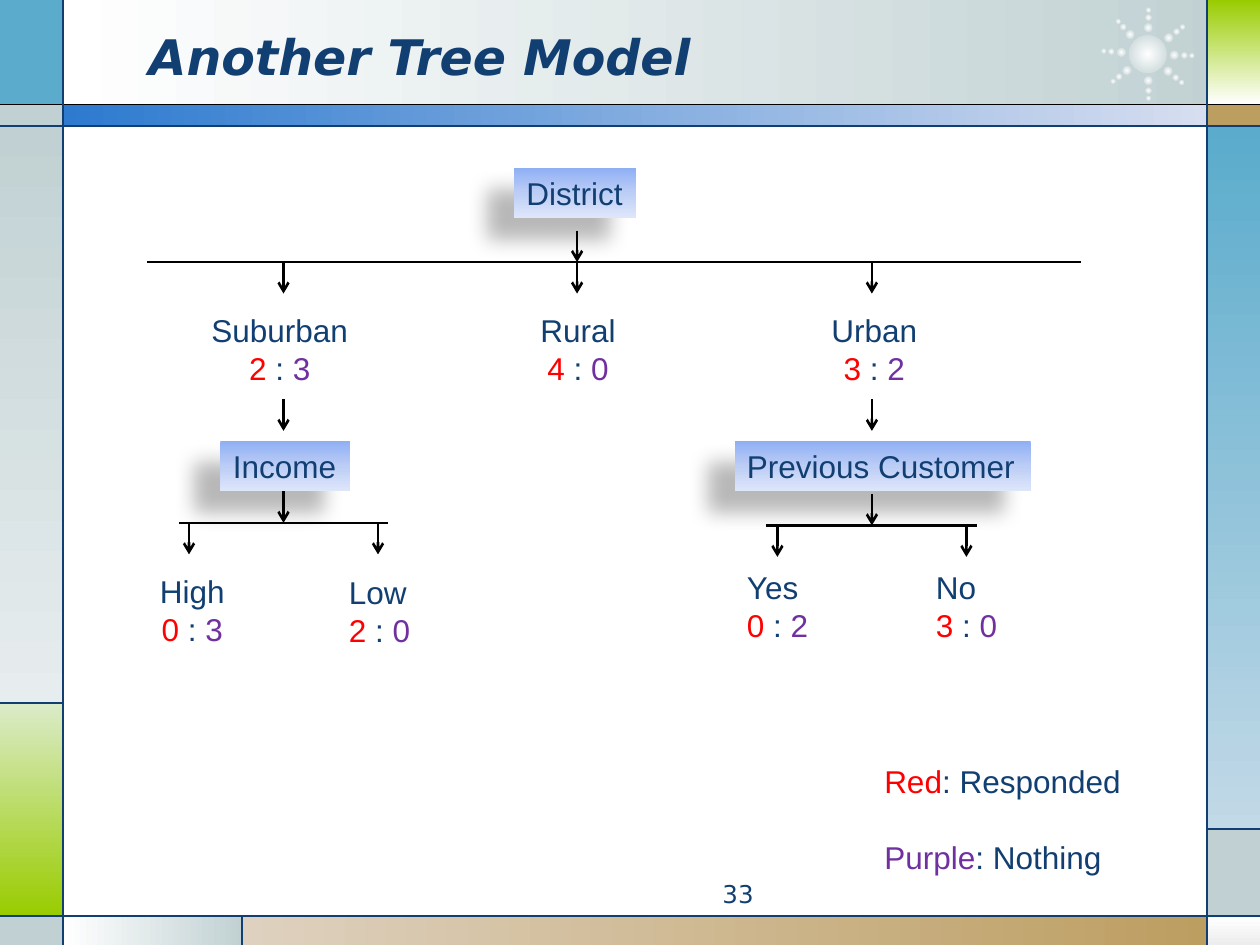
from dataclasses import dataclass
from math import cos, radians, sin
from typing import Any, NamedTuple

from lxml import etree
from pptx import Presentation
from pptx.dml import color as dml
from pptx.enum import shapes, text
from pptx.oxml import ns
from pptx.util import Inches, Pt


@dataclass(frozen=True)
class Theme:
    navy: str = "113F71"
    black: str = "000000"
    white: str = "FFFFFF"
    mist: str = "C1D1D3"
    sky: str = "5AABCC"
    lime: str = "99CC00"
    tan: str = "BD9E61"
    red: str = "FF0000"
    purple: str = "7030A0"
    node: tuple = ("8FAFF4", "BCCDF6", "DEE6FA")
    body_font: str = "Arial"
    title_font: str = "DejaVu Sans"
    title_size: float = 28
    body_size: float = 18
    number_size: float = 14
    rule: float = 0.75
    branch: float = 1.5


THEME = Theme()
RIGHT, DOWN, RADIAL = 0, 90, None


class Panel(NamedTuple):
    left: float
    top: float
    width: float
    height: float
    colors: tuple
    angle: int | None = RIGHT


class Node(NamedTuple):
    left: float
    top: float
    width: float
    name: str


class Leaf(NamedTuple):
    left: float
    top: float
    width: float
    name: str
    responded: int
    nothing: int


class Split(NamedTuple):
    trunk: float
    bar: float
    start: float
    end: float
    branches: tuple


PANELS = [
    Panel(0.5, 0, 9.27, 0.84, (THEME.white, THEME.mist)),
    Panel(0, 0, 0.5, 0.84, (THEME.sky,)),
    Panel(0, 0.83, 0.5, 0.17, (THEME.mist,)),
    Panel(0, 1, 0.5, 4.58, (THEME.mist, "E7EDEE"), DOWN),
    Panel(0, 5.58, 0.5, 1.69, ("DBEBC9", THEME.lime), DOWN),
    Panel(0, 7.27, 0.5, 0.23, (THEME.mist,)),
    Panel(0.5, 7.27, 1.43, 0.23, (THEME.white, THEME.mist)),
    Panel(1.92, 7.27, 7.67, 0.23, ("DED1BF", THEME.tan)),
    Panel(9.59, 7.27, 0.41, 0.23, (THEME.white, "EDEDED"), DOWN),
    Panel(9.58, 6.58, 0.42, 0.7, (THEME.mist,)),
    Panel(9.58, 1, 0.42, 5.58, (THEME.sky, "C2D9E7"), DOWN),
    Panel(9.58, 0.83, 0.42, 0.17, (THEME.tan,)),
    Panel(9.58, 0, 0.42, 0.83, (THEME.lime, THEME.white), DOWN),
    Panel(0.5, 0.83, 9.09, 0.17, ("2D7ACF", "D7DEF0")),
]
RULES = [
    (0, 0.83, 10, 0.83, THEME.black), (0, 1, 10, 1, THEME.navy),
    (0, 7.27, 10, 7.27, THEME.navy), (0.5, 0, 0.5, 7.5, THEME.navy),
    (9.58, 0, 9.58, 7.5, THEME.navy), (0, 5.58, 0.5, 5.58, THEME.navy),
    (1.92, 7.27, 1.92, 7.5, THEME.navy), (9.58, 6.58, 10, 6.58, THEME.navy),
]
RAY_ANGLES = (40, 2, -38, 89, -89, -132, 184, 142)
RAY_DOTS = ((0.21, 0.07), (0.29, 0.05), (0.35, 0.04))  # distance, size
NODES = [
    Node(4.08, 1.33, 0.97, "District"),
    Node(1.75, 3.5, 1.03, "Income"),
    Node(5.83, 3.5, 2.35, "Previous Customer"),
]
LEAVES = [
    Leaf(1.58, 2.42, 1.3, "Suburban", 2, 3),
    Leaf(4.19, 2.42, 0.81, "Rural", 4, 0),
    Leaf(6.5, 2.42, 0.89, "Urban", 3, 2),
    Leaf(1.17, 4.49, 0.72, "High", 0, 3),
    Leaf(2.67, 4.5, 0.69, "Low", 2, 0),
    Leaf(5.83, 4.46, 0.69, "Yes", 0, 2),
    Leaf(7.33, 4.46, 0.69, "No", 3, 0),
]
SPLITS = [
    Split(4.58, 2.08, 1.17, 8.58, (2.25, 4.58, 6.92)),
    Split(2.25, 4.15, 1.42, 3.08, (1.5, 3)),
    Split(6.92, 4.17, 6.08, 7.75, (6.17, 7.67)),
]
ARROW = 0.25


def apply(target: Any, values: dict) -> None:
    for name, value in values.items():
        setattr(target, name, value)


def rgb(value: str) -> dml.RGBColor:
    return dml.RGBColor.from_string(value)


def add_xml(parent: Any, tag: str, **attributes: Any) -> Any:
    values = {name: str(value) for name, value in attributes.items()}
    return etree.SubElement(parent, ns.qn(tag), values)


def paint(shape: Any, colors: tuple, angle: int | None) -> None:
    """Fill with one colour, or with evenly spaced gradient stops."""
    shape.shadow.inherit = False
    shape.line.fill.background()
    if len(colors) == 1:
        shape.fill.solid()
        shape.fill.fore_color.rgb = rgb(colors[0])
        return
    shape.fill.gradient()
    gradient = shape.element.spPr.find(ns.qn("a:gradFill"))
    for child in list(gradient):
        gradient.remove(child)
    stops = add_xml(gradient, "a:gsLst")
    for index, value in enumerate(colors):
        stop = add_xml(stops, "a:gs", pos=100000 * index // (len(colors) - 1))
        add_xml(stop, "a:srgbClr", val=value)
    if angle is RADIAL:
        center = add_xml(gradient, "a:path", path="circle")
        add_xml(center, "a:fillToRect", l=50000, t=50000, r=50000, b=50000)
    else:
        add_xml(gradient, "a:lin", ang=angle * 60000, scaled=0)


def add_panel(slide: Any, panel: Panel, kind: Any = shapes.MSO_SHAPE.RECTANGLE) -> Any:
    shape = slide.shapes.add_shape(kind, *map(Inches, panel[:4]))
    paint(shape, panel.colors, panel.angle)
    return shape


def add_line(slide: Any, x1: float, y1: float, x2: float, y2: float,
             color: str = THEME.black, width: float = THEME.branch, arrow: bool = False) -> None:
    line = slide.shapes.add_connector(shapes.MSO_CONNECTOR.STRAIGHT, *map(Inches, (x1, y1, x2, y2)))
    line.line.color.rgb = rgb(color)
    line.line.width = Pt(width)
    if arrow:
        add_xml(line.line._get_or_add_ln(), "a:tailEnd", type="arrow")
    add_xml(line.element.spPr, "a:effectLst")


def add_arrow(slide: Any, x: float, top: float) -> None:
    add_line(slide, x, top, x, top + ARROW, arrow=True)


def add_box(slide: Any, left: float, top: float, width: float, height: float) -> Any:
    return slide.shapes.add_textbox(*map(Inches, (left, top, width, height)))


def write(para: Any, spans: list, align: Any = text.PP_ALIGN.LEFT,
          font: str = THEME.body_font, size: float = THEME.body_size, **extra: bool) -> None:
    para.alignment = align
    for words, color in spans:
        span = para.add_run()
        span.text = words
        apply(span.font, {"name": font, "size": Pt(size), **extra})
        span.font.color.rgb = rgb(color)


def fit(frame: Any) -> None:
    apply(frame, {"word_wrap": False, "auto_size": text.MSO_AUTO_SIZE.SHAPE_TO_FIT_TEXT,
                  "vertical_anchor": text.MSO_ANCHOR.TOP})


def add_node(slide: Any, node: Node) -> None:
    box = add_panel(slide, Panel(*node[:3], 0.4, THEME.node, DOWN))
    effects = box.element.spPr.find(ns.qn("a:effectLst"))
    shadow = add_xml(effects, "a:outerShdw", blurRad=Pt(11.8), dist=Pt(19.7),
                     dir=141 * 60000, algn="ctr", rotWithShape=0)
    add_xml(add_xml(shadow, "a:srgbClr", val=THEME.black), "a:alpha", val=28000)
    fit(box.text_frame)
    write(box.text_frame.paragraphs[0], [(node.name, THEME.navy)])


def add_leaf(slide: Any, leaf: Leaf) -> None:
    frame = add_box(slide, *leaf[:3], 0.71).text_frame
    fit(frame)
    write(frame.paragraphs[0], [(leaf.name, THEME.navy)])
    counts = [(str(leaf.responded), THEME.red), (" : ", THEME.navy), (str(leaf.nothing), THEME.purple)]
    write(frame.add_paragraph(), counts, text.PP_ALIGN.CENTER)


def add_split(slide: Any, split: Split) -> None:
    add_arrow(slide, split.trunk, split.bar - ARROW)
    add_line(slide, split.start, split.bar, split.end, split.bar)
    for x in split.branches:
        add_arrow(slide, x, split.bar)


def add_burst(slide: Any, x: float, y: float) -> None:
    dots = [(0, 0, 0.3)] + [(a, d, size) for a in RAY_ANGLES for d, size in RAY_DOTS]
    for angle, distance, size in dots:
        left = x + distance * cos(radians(angle)) - size / 2
        top = y + distance * sin(radians(angle)) - size / 2
        add_panel(slide, Panel(left, top, size, size, (THEME.white, THEME.mist), RADIAL),
                  shapes.MSO_SHAPE.OVAL)


def main() -> None:
    deck = Presentation()
    apply(deck, {"slide_width": Inches(10), "slide_height": Inches(7.5)})
    slide = deck.slides.add_slide(deck.slide_layouts[5])

    # Frame
    for panel in PANELS:
        add_panel(slide, panel)
    add_burst(slide, 9.11, 0.43)
    for rule in RULES:
        add_line(slide, *rule, width=THEME.rule)

    # Title, brought in front of the frame
    title = slide.shapes.title
    title.element.getparent().append(title.element)
    apply(title, {"left": Inches(1.08), "top": Inches(0.13), "width": Inches(7.33), "height": Inches(0.62)})
    title.text_frame.vertical_anchor = text.MSO_ANCHOR.MIDDLE
    write(title.text_frame.paragraphs[0], [("Another Tree Model", THEME.navy)],
          font=THEME.title_font, size=THEME.title_size, bold=True, italic=True)

    # Slide number
    number = add_box(slide, 3.75, 6.93, 2.33, 0.27).text_frame
    number.word_wrap = True
    write(number.paragraphs[0], [("33", THEME.navy)], text.PP_ALIGN.RIGHT,
          THEME.title_font, THEME.number_size)

    # Decision tree
    for node in NODES:
        add_node(slide, node)
    for leaf in LEAVES:
        add_leaf(slide, leaf)
    for split in SPLITS:
        add_split(slide, split)
    for x in (2.25, 6.92):
        add_arrow(slide, x, 3.17)

    # Legend
    legend = add_box(slide, 6.92, 6, 2.24, 1.01).text_frame
    legend.word_wrap = True
    write(legend.paragraphs[0], [("Red", THEME.red), (": Responded", THEME.navy)])
    para = legend.add_paragraph()
    para.space_before = Pt(22)
    write(para, [("Purple", THEME.purple), (": Nothing", THEME.navy)])

    deck.save("out.pptx")


if __name__ == "__main__":
    main()
